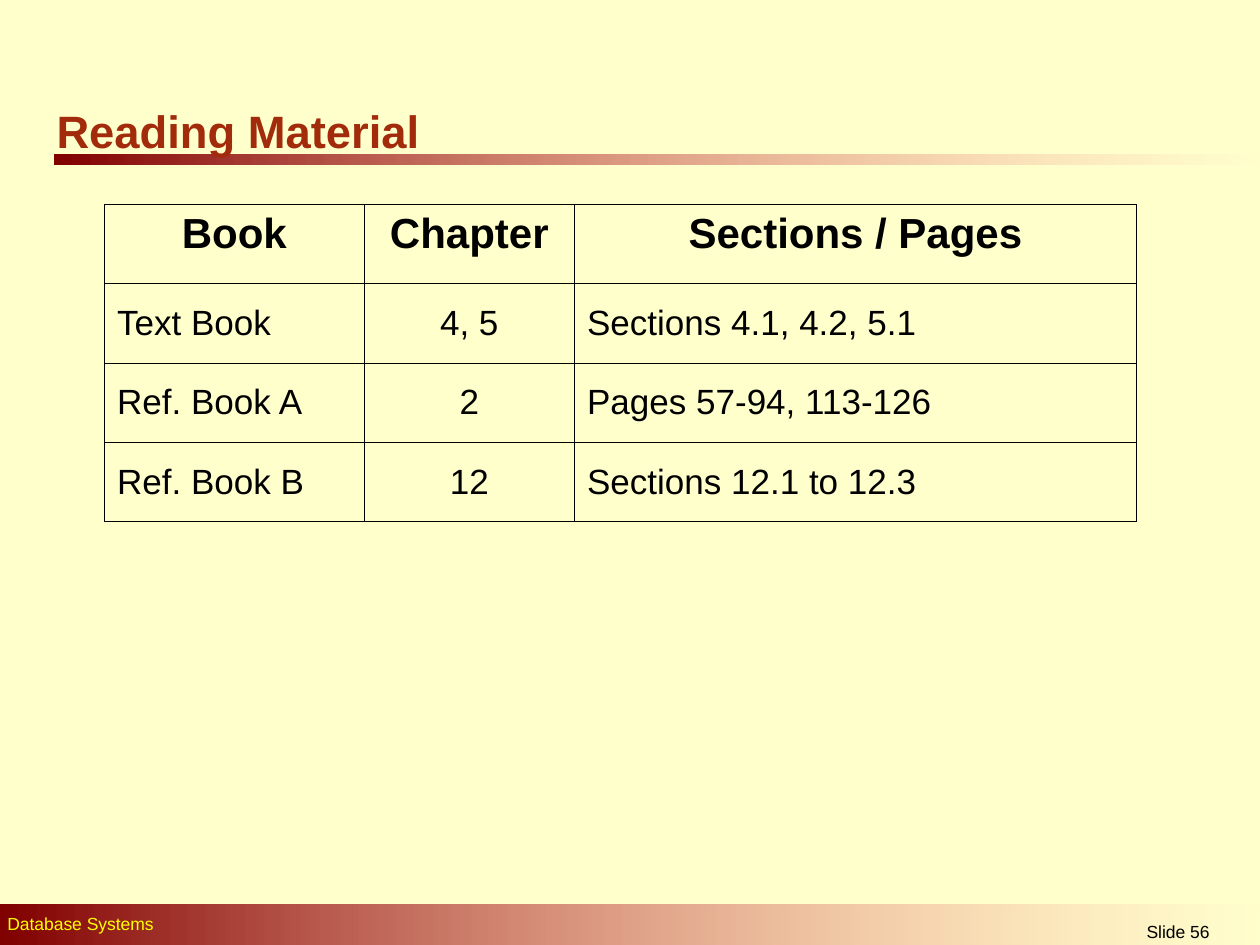
from lxml import etree
from pptx import Presentation
from pptx.dml.color import RGBColor
from pptx.enum.shapes import MSO_SHAPE
from pptx.enum.text import MSO_ANCHOR, PP_ALIGN
from pptx.oxml.ns import qn
from pptx.util import Inches, Pt

CREAM = RGBColor(0xFF, 0xFF, 0xCC)
MAROON = RGBColor(0x80, 0x00, 0x00)
PINK = RGBColor(0xFF, 0x85, 0x85)
RUST = RGBColor(0xA1, 0x2B, 0x0B)
YELLOW = RGBColor(0xFF, 0xFF, 0x00)
BLACK = RGBColor(0x00, 0x00, 0x00)

FONT = "Arial"
RECTANGLE = MSO_SHAPE.RECTANGLE
LEFT, CENTER = PP_ALIGN.LEFT, PP_ALIGN.CENTER
TOP, MIDDLE = MSO_ANCHOR.TOP, MSO_ANCHOR.MIDDLE

COLUMN_WIDTHS = [2.06, 1.67, 4.46]
COLUMN_ALIGNMENTS = [LEFT, CENTER, LEFT]
ROW_HEIGHT = 0.63
READINGS = [
    ["Book", "Chapter", "Sections / Pages"],
    ["Text Book", "4, 5", "Sections 4.1, 4.2, 5.1"],
    ["Ref. Book A", "2", "Pages 57-94, 113-126"],
    ["Ref. Book B", "12", "Sections 12.1 to 12.3"],
]


def write_text(frame, text, size, color, bold=False, align=LEFT):
    para = frame.paragraphs[0]
    para.text = text
    para.alignment = align
    font = para.runs[0].font
    font.name, font.size, font.bold = FONT, Pt(size), bold
    font.color.rgb = color


def add_fading_bar(page, left, top, width, height):
    bar = page.shapes.add_shape(
        RECTANGLE, Inches(left), Inches(top), Inches(width), Inches(height))
    bar.shadow.inherit = False
    bar.line.fill.background()
    bar.fill.gradient()
    bar.fill.gradient_angle = 0
    for stop, color in zip(bar.fill.gradient_stops, (MAROON, PINK)):
        stop.color.rgb = color
    # The last stop is fully transparent
    end_color = bar._element.spPr.findall(".//" + qn("a:srgbClr"))[-1]
    etree.SubElement(end_color, qn("a:alpha"), val="0")


def add_text(page, left, top, width, height, text, size, color,
             bold=False, align=LEFT, anchor=TOP):
    box = page.shapes.add_textbox(
        Inches(left), Inches(top), Inches(width), Inches(height))
    frame = box.text_frame
    frame.word_wrap = True
    frame.vertical_anchor = anchor
    write_text(frame, text, size, color, bold, align)


def set_borders(cell, color, width):
    properties = cell._tc.get_or_add_tcPr()
    for position, side in enumerate(("a:lnL", "a:lnR", "a:lnT", "a:lnB")):
        line = etree.Element(qn(side), w=str(Pt(width)))
        fill = etree.SubElement(line, qn("a:solidFill"))
        etree.SubElement(fill, qn("a:srgbClr"), val=str(color))
        properties.insert(position, line)


def add_reading_table(page, left, top):
    table = page.shapes.add_table(
        len(READINGS), len(COLUMN_WIDTHS), Inches(left), Inches(top),
        Inches(sum(COLUMN_WIDTHS)), Inches(ROW_HEIGHT * len(READINGS))).table
    table.horz_banding = False
    for column, width in zip(table.columns, COLUMN_WIDTHS):
        column.width = Inches(width)
    for row_index, texts in enumerate(READINGS):
        header = row_index == 0
        table.rows[row_index].height = Inches(ROW_HEIGHT)
        for column_index, text in enumerate(texts):
            cell = table.cell(row_index, column_index)
            align = CENTER if header else COLUMN_ALIGNMENTS[column_index]
            write_text(cell.text_frame, text, 24 if header else 20,
                       BLACK, header, align)
            cell.vertical_anchor = TOP if header else MIDDLE
            if header:
                cell.fill.solid()
                cell.fill.fore_color.rgb = CREAM
            else:
                cell.fill.background()
            set_borders(cell, BLACK, 0.45)


def main():
    deck = Presentation()
    deck.slide_width, deck.slide_height = Inches(10), Inches(7.5)
    page = deck.slides.add_slide(deck.slide_layouts[6])
    page.background.fill.solid()
    page.background.fill.fore_color.rgb = CREAM

    # Title rule and footer band
    add_fading_bar(page, 0.43, 1.23, 9.57, 0.08)
    add_fading_bar(page, 0, 7.18, 10.03, 0.35)

    # Footer texts
    add_text(page, -0.04, 7.2, 6.46, 0.27, "Database Systems", 10, YELLOW)
    add_text(page, 8.31, 7.26, 2.08, 0.24, "Slide 56", 10, BLACK, align=CENTER)

    # Title and reading list
    add_text(page, 0.35, 0.76, 5.02, 0.55, "Reading Material", 25.9, RUST,
             bold=True, anchor=MIDDLE)
    add_reading_table(page, 0.83, 1.62)

    deck.save("out.pptx")


if __name__ == "__main__":
    main()
